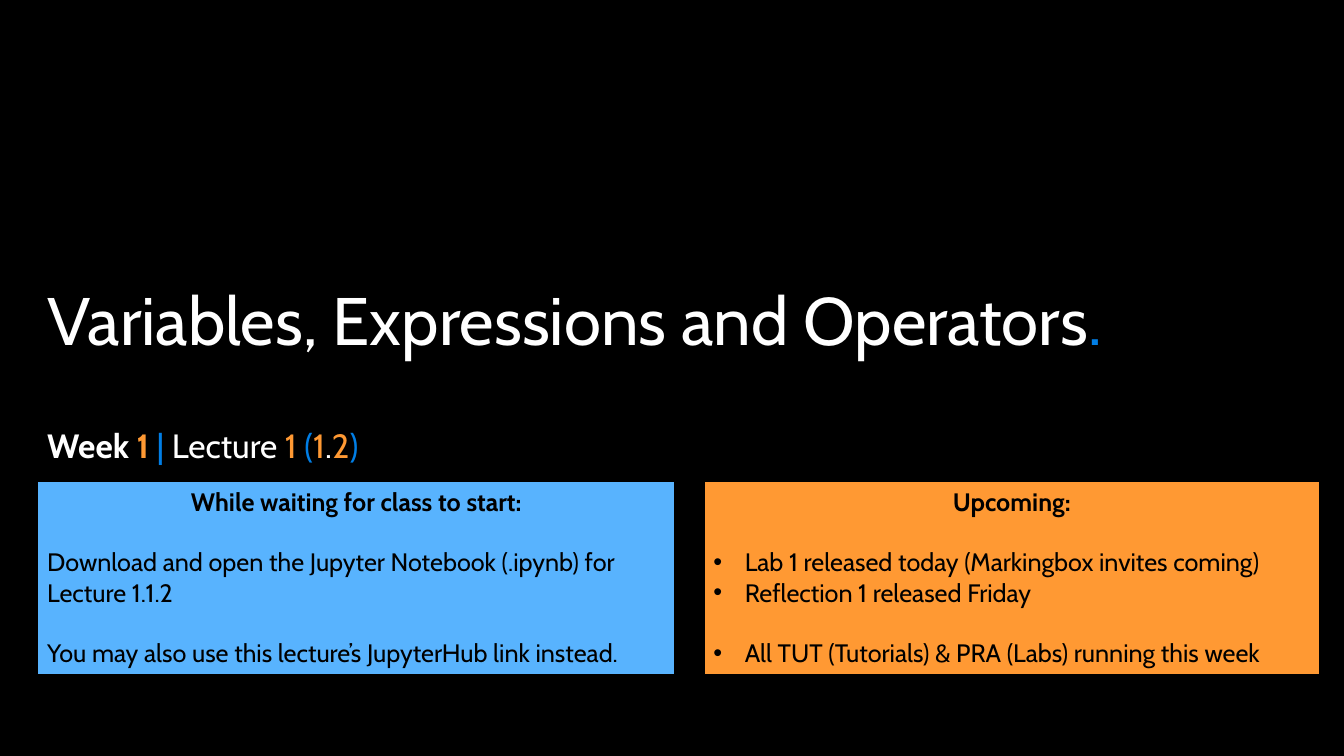
from lxml.etree import SubElement
from pptx import Presentation
from pptx.dml.color import RGBColor
from pptx.enum.shapes import MSO_SHAPE
from pptx.enum.text import MSO_ANCHOR, MSO_AUTO_SIZE, PP_ALIGN
from pptx.oxml.ns import qn
from pptx.util import Cm, Pt

# Content: runs are (text, colour, bold)
TITLE = [("Variables, Expressions and Operators", "white", False), (".", "blue", False)]
WEEK = [
    ("Week ", "white", True), ("1 ", "orange", True), ("|", "blue", False),
    (" Lecture ", "white", False), ("1 ", "orange", False), ("(", "blue", False),
    ("1", "orange", False), (".", "white", False), ("2", "orange", False),
    (")", "blue", False),
]
# Cards: lines are (text, gap of one line above)
CARDS = [
    {"head": "While waiting for class to start:", "fill": "sky", "width": 16.08,
     "bullet": False, "lines": [
         ("Download and open the Jupyter Notebook (.ipynb) for Lecture 1.1.2", True),
         ("You may also use this lecture’s JupyterHub link instead.", True)]},
    {"head": "Upcoming:", "fill": "orange", "width": 15.54,
     "bullet": True, "lines": [
         ("Lab 1 released today (Markingbox invites coming)", True),
         ("Reflection 1 released Friday", False),
         ("All TUT (Tutorials) & PRA (Labs) running this week", True)]},
]

THEME = {
    "font": "Cabin",
    "title": Pt(48), "week": Pt(24), "body": Pt(18), "gap": Pt(21.8),
    "black": RGBColor(0x00, 0x00, 0x00), "white": RGBColor(0xFF, 0xFF, 0xFF),
    "blue": RGBColor(0x01, 0x7E, 0xE5), "orange": RGBColor(0xFF, 0x99, 0x33),
    "sky": RGBColor(0x58, 0xB3, 0xFE),
}
LEFT, WIDE = 0.94, 31.65
CARD_TOP, CARD_TALL, CARD_GAP = 12.12, 4.88, 0.71
INDENT = Cm(0.79)


def apply(item, form):
    for name, value in form.items():
        setattr(item, name, value)


def add_run(para, text, size, tint, bold):
    run = para.add_run()
    run.text = text
    apply(run.font, {"name": THEME["font"], "size": THEME[size], "bold": bold})
    run.font.color.rgb = THEME[tint]


def add_line(slide, top, tall, runs, size, anchor):
    box = slide.shapes.add_textbox(Cm(LEFT), Cm(top), Cm(WIDE), Cm(tall))
    apply(box.text_frame, {"word_wrap": True, "vertical_anchor": anchor})
    para = box.text_frame.paragraphs[0]
    para.line_spacing = 0.9
    for text, tint, bold in runs:
        add_run(para, text, size, tint, bold)


def add_bullet(para):
    props = para._p.get_or_add_pPr()
    props.set("marL", str(INDENT))
    props.set("indent", str(-INDENT))
    SubElement(props, qn("a:buFont")).set("typeface", "Arial")
    SubElement(props, qn("a:buChar")).set("char", "•")


def add_card(slide, left, card):
    box = slide.shapes.add_shape(MSO_SHAPE.RECTANGLE, Cm(left), Cm(CARD_TOP),
                                 Cm(card["width"]), Cm(CARD_TALL))
    box.shadow.inherit = False
    box.fill.solid()
    box.fill.fore_color.rgb = THEME[card["fill"]]
    box.line.color.rgb = THEME["black"]
    box.line.width = Pt(1.5)
    frame = box.text_frame
    apply(frame, {"word_wrap": True, "vertical_anchor": MSO_ANCHOR.TOP,
                  "auto_size": MSO_AUTO_SIZE.SHAPE_TO_FIT_TEXT})
    head = frame.paragraphs[0]
    head.alignment = PP_ALIGN.CENTER
    add_run(head, card["head"], "body", "black", True)
    for text, gap in card["lines"]:
        para = frame.add_paragraph()
        apply(para, {"alignment": PP_ALIGN.LEFT,
                     "space_before": THEME["gap"] if gap else Pt(0)})
        if card["bullet"]:
            add_bullet(para)
        add_run(para, text, "body", "black", False)


def main():
    deck = Presentation()
    apply(deck, {"slide_width": Cm(33.87), "slide_height": Cm(19.05)})
    slide = deck.slides.add_slide(deck.slide_layouts[6])
    slide.background.fill.solid()
    slide.background.fill.fore_color.rgb = THEME["black"]

    # Title and week line
    add_line(slide, 6.71, 2.49, TITLE, "title", MSO_ANCHOR.BOTTOM)
    add_line(slide, 10.69, 1.4, WEEK, "week", MSO_ANCHOR.TOP)

    # Cards side by side
    left = LEFT
    for card in CARDS:
        add_card(slide, left, card)
        left += card["width"] + CARD_GAP

    deck.save("out.pptx")


if __name__ == "__main__":
    main()
